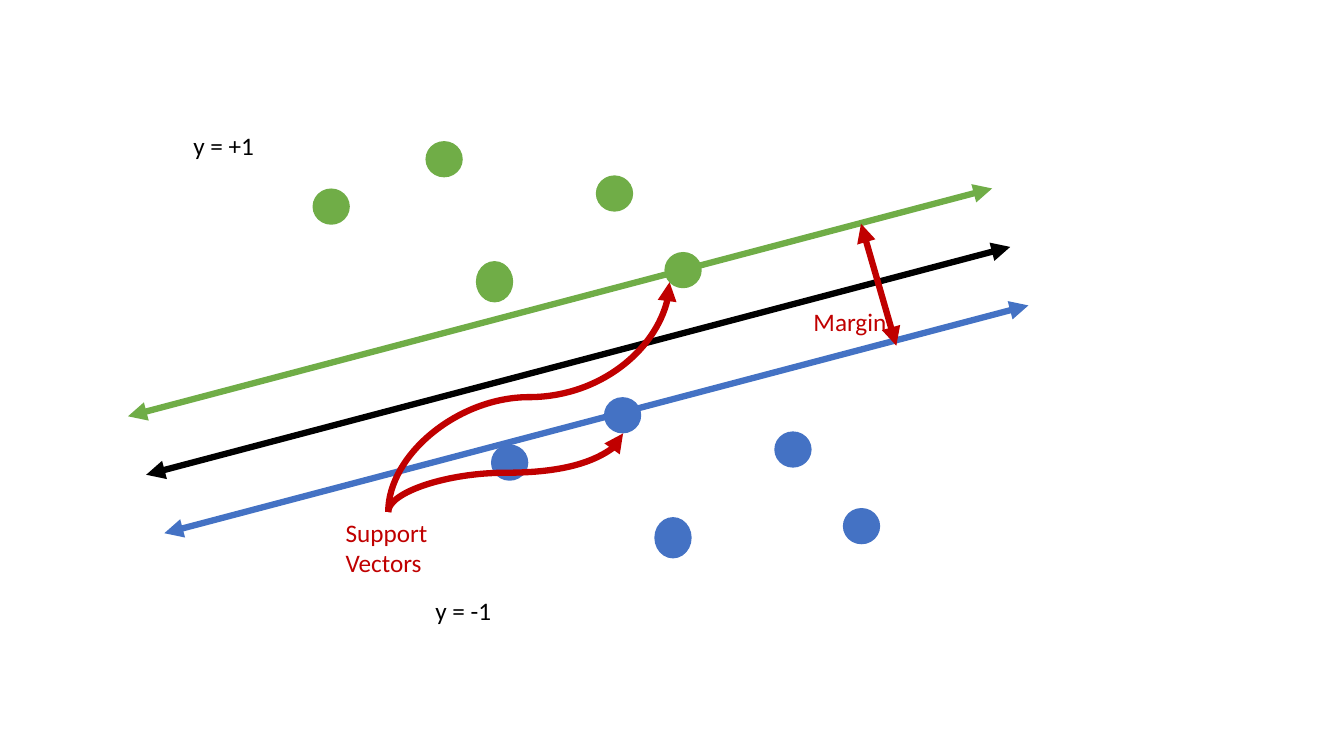
from pptx import Presentation
from pptx.dml.color import RGBColor
from pptx.enum.shapes import MSO_CONNECTOR, MSO_SHAPE
from pptx.enum.text import MSO_AUTO_SIZE
from pptx.oxml.ns import qn
from pptx.util import Inches, Pt
from lxml import etree

STRAIGHT, CURVE = MSO_CONNECTOR.STRAIGHT, MSO_CONNECTOR.CURVE
OVAL = MSO_SHAPE.OVAL
FIT_SHAPE = MSO_AUTO_SIZE.SHAPE_TO_FIT_TEXT

GREEN = RGBColor(0x70, 0xAD, 0x47)
BLUE = RGBColor(0x44, 0x72, 0xC4)
RED = RGBColor(0xC0, 0x00, 0x00)
BLACK = RGBColor(0x00, 0x00, 0x00)

DOT_WIDTH = 0.37
# Left, top and height of each point, relative to its class
CLASS_POINTS = [
    (0, 0.47, 0.36),
    (1.12, 0, 0.36),
    (2.81, 0.34, 0.36),
    (1.62, 1.19, 0.41),
    (3.49, 1.1, 0.36),
]


def add_arrow(slide, kind, start, end, color, both_ends=True):
    connector = slide.shapes.add_connector(
        kind, *(Inches(value) for value in (*start, *end)))
    connector.line.color.rgb = color
    connector.line.width = Pt(4.5)
    properties = connector._element.spPr
    outline = properties.find(qn("a:ln"))
    for end_name in ("headEnd", "tailEnd") if both_ends else ("tailEnd",):
        etree.SubElement(outline, qn(f"a:{end_name}"), type="triangle")
    etree.SubElement(properties, qn("a:effectLst"))
    return connector


def add_rising_curve(slide, start, end):
    """Draw a curve that leaves and arrives vertically, as a quarter-turned connector."""
    middle_x, middle_y = (start[0] + end[0]) / 2, (start[1] + end[1]) / 2
    half_width = abs(end[1] - start[1]) / 2
    half_height = abs(end[0] - start[0]) / 2
    curve = add_arrow(slide, CURVE,
                      (middle_x + half_width, middle_y + half_height),
                      (middle_x - half_width, middle_y - half_height),
                      RED, both_ends=False)
    curve._element.spPr.find(qn("a:xfrm")).set("rot", str(90 * 60000))


def add_label(slide, text, left, top, width, height, color):
    box = slide.shapes.add_textbox(
        Inches(left), Inches(top), Inches(width), Inches(height))
    frame = box.text_frame
    frame.word_wrap = True
    frame.auto_size = FIT_SHAPE
    frame.text = text
    font = frame.paragraphs[0].runs[0].font
    font.name = "Calibri"
    font.size = Pt(18)
    font.color.rgb = color


def add_boundaries(slide, left, top):
    """Draw the three parallel lines, each one step right and down."""
    for index, color in enumerate((GREEN, BLACK, BLUE)):
        line_left, line_top = left + 0.18 * index, top + 0.58 * index
        add_arrow(slide, STRAIGHT, (line_left, line_top + 2.26),
                  (line_left + 8.57, line_top), color)


def add_class(slide, left, top, color):
    for x, y, height in CLASS_POINTS:
        dot = slide.shapes.add_shape(
            OVAL, Inches(left + x), Inches(top + y),
            Inches(DOT_WIDTH), Inches(height))
        dot.shadow.inherit = False
        dot.fill.solid()
        dot.fill.fore_color.rgb = color
        dot.line.fill.background()


def add_margin(slide, left, top):
    add_arrow(slide, STRAIGHT, (left + 0.57, top), (left + 0.92, top + 1.21), RED)
    add_label(slide, "Margin", left, top + 0.77, 1.03, 0.4, RED)


def add_support_vectors(slide, left, top):
    add_label(slide, "Support Vectors", left, top, 1.03, 0.71, RED)
    start = (left + 0.52, top)
    for x, y in ((3.31, -2.28), (2.85, -0.78)):
        add_rising_curve(slide, start, (left + x, top + y))


def main():
    deck = Presentation()
    deck.slide_width, deck.slide_height = Inches(13.33), Inches(7.5)
    slide = deck.slides.add_slide(deck.slide_layouts[6])
    add_boundaries(slide, 1.27, 1.87)
    add_class(slide, 3.1, 1.4, GREEN)
    add_class(slide, 4.87, 3.94, BLUE)
    add_label(slide, "y = +1", 1.82, 1.24, 1.47, 0.4, BLACK)
    add_label(slide, "y = -1", 4.22, 5.86, 1.47, 0.4, BLACK)
    add_margin(slide, 7.97, 2.22)
    add_support_vectors(slide, 3.33, 5.08)
    deck.save("out.pptx")


if __name__ == "__main__":
    main()
